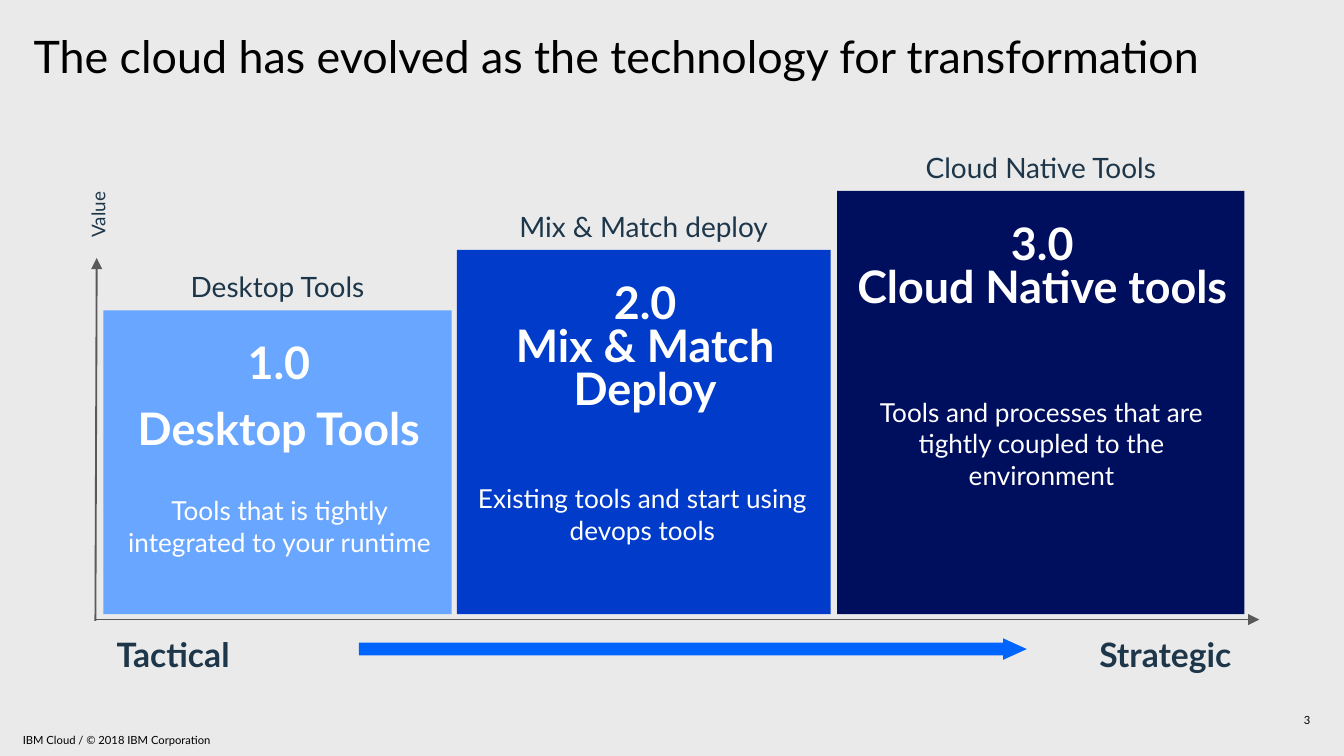
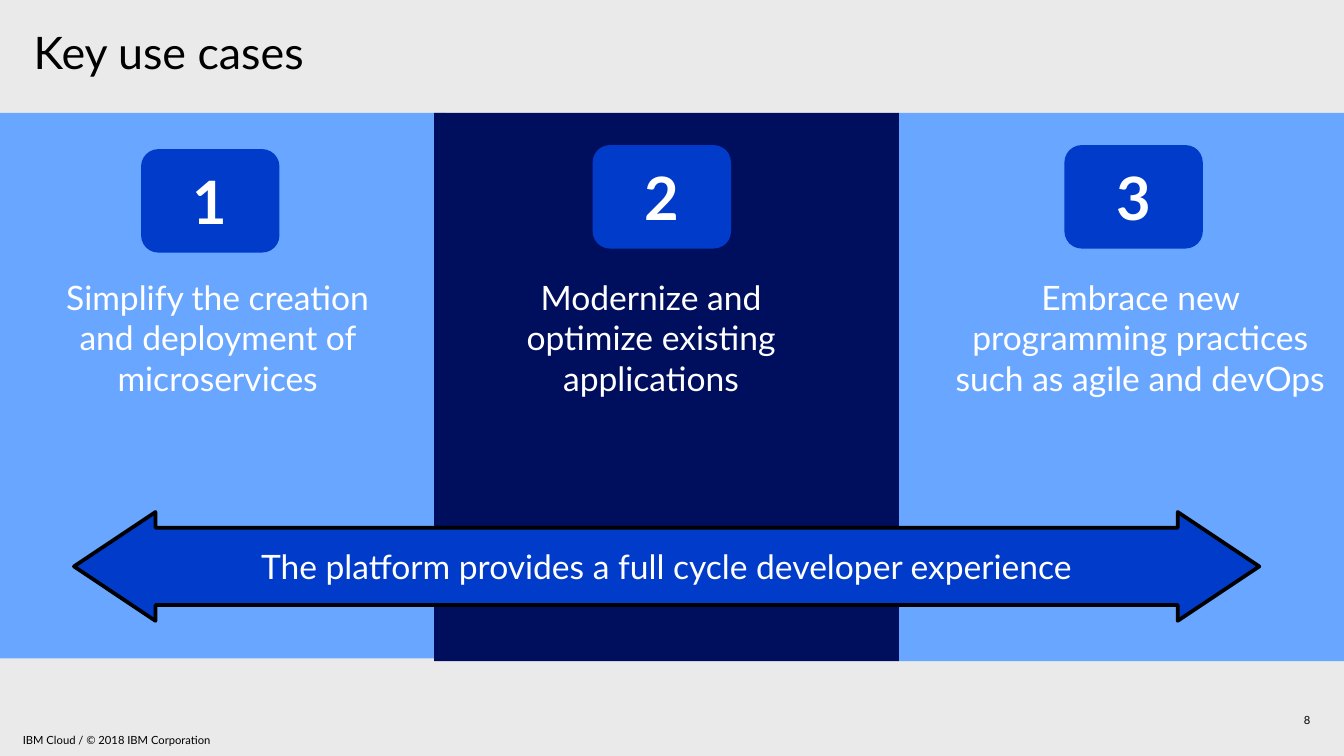
from dataclasses import dataclass

from lxml import etree
from pptx import Presentation
from pptx.dml.color import RGBColor
from pptx.enum.shapes import MSO_CONNECTOR, MSO_SHAPE
from pptx.enum.text import MSO_ANCHOR, PP_ALIGN
from pptx.oxml.ns import qn
from pptx.util import Inches, Pt

LEFT, CENTER, RIGHT = PP_ALIGN.LEFT, PP_ALIGN.CENTER, PP_ALIGN.RIGHT
TOP, MIDDLE = MSO_ANCHOR.TOP, MSO_ANCHOR.MIDDLE
RECTANGLE, ROUNDED = MSO_SHAPE.RECTANGLE, MSO_SHAPE.ROUNDED_RECTANGLE
RIGHT_ARROW, DOUBLE_ARROW = MSO_SHAPE.RIGHT_ARROW, MSO_SHAPE.LEFT_RIGHT_ARROW
STRAIGHT = MSO_CONNECTOR.STRAIGHT


@dataclass(frozen=True)
class Theme:
    font: str = "Lato"
    background: str = "EAEAEA"
    black: str = "000000"
    white: str = "FFFFFF"
    slate: str = "1D3649"
    axis: str = "595959"
    light: str = "69A6FF"
    blue: str = "003BC9"
    navy: str = "000E5E"
    bright: str = "0064FF"
    title_size: float = 24
    heading_size: float = 24
    badge_size: float = 32
    statement_size: float = 18
    label_size: float = 15
    body_size: float = 14
    axis_size: float = 10.1
    footer_size: float = 6


THEME = Theme()
NO_INSETS = (0, 0, 0, 0)
BOX_INSETS = (0.1, 0.05, 0.1, 0.05)
BODY_INSETS = (0, 0, 0, 0.05)


def text_style(size, color, bold=False):
    return {"name": THEME.font, "size": Pt(size), "bold": bold}, color


TITLE = text_style(THEME.title_size, THEME.black)
FOOTER = text_style(THEME.footer_size, THEME.black)
HEADING = text_style(THEME.heading_size, THEME.white, True)
BODY = text_style(THEME.body_size, THEME.white)
LABEL = text_style(THEME.label_size, THEME.slate)
AXIS_NAME = text_style(THEME.axis_size, THEME.slate)
AXIS_END = text_style(THEME.statement_size, THEME.slate, True)
STATEMENT = text_style(THEME.statement_size, THEME.white)
BADGE = text_style(THEME.badge_size, THEME.white, True)


def rgb(value):
    return RGBColor.from_string(value)


def inches(values):
    return [Inches(value) for value in values]


def write_text(shape, paragraphs, style, align=LEFT, anchor=TOP,
               insets=BOX_INSETS, spacing=None, after=0):
    frame = shape.text_frame
    frame.word_wrap = True
    frame.vertical_anchor = anchor
    for side, inset in zip(("left", "top", "right", "bottom"), inches(insets)):
        setattr(frame, f"margin_{side}", inset)
    font_values, color = style
    for index, text in enumerate(paragraphs):
        paragraph = frame.add_paragraph() if index else frame.paragraphs[0]
        paragraph.text = text
        layout = {"alignment": align, "line_spacing": spacing, "space_after": Pt(after)}
        for name, value in layout.items():
            setattr(paragraph, name, value)
        for run in paragraph.runs:
            for name, value in font_values.items():
                setattr(run.font, name, value)
            run.font.color.rgb = rgb(color)


def add_text(slide, box, paragraphs, style, **layout):
    shape = slide.shapes.add_textbox(*inches(box))
    write_text(shape, paragraphs, style, **layout)
    return shape


def add_block(slide, kind, box, fill, adjustments=()):
    shape = slide.shapes.add_shape(kind, *inches(box))
    shape.shadow.inherit = False
    shape.fill.solid()
    shape.fill.fore_color.rgb = rgb(fill)
    shape.line.fill.background()
    for index, value in enumerate(adjustments):
        shape.adjustments[index] = value
    return shape


def add_axis(slide, start, end):
    connector = slide.shapes.add_connector(STRAIGHT, *inches(start + end))
    connector.line.color.rgb = rgb(THEME.axis)
    connector.line.width = Pt(1)
    properties = connector.element.spPr
    tail = etree.SubElement(properties.find(qn("a:ln")), qn("a:tailEnd"))
    tail.set("type", "triangle")
    etree.SubElement(properties, qn("a:effectLst"))


def add_slide(presentation, number, title, title_box):
    """Start a slide with the shared background, title and footer."""
    slide = presentation.slides.add_slide(presentation.slide_layouts[6])
    slide.background.fill.solid()
    slide.background.fill.fore_color.rgb = rgb(THEME.background)
    add_text(slide, title_box, [title], TITLE, insets=NO_INSETS, spacing=0.9)
    add_text(slide, (7.5, 5.28, 2.25, 0.15), [number], FOOTER,
             align=RIGHT, anchor=MIDDLE, insets=NO_INSETS)
    add_text(slide, (0.17, 5.45, 5.25, 0.11), ["IBM Cloud / © 2018 IBM Corporation"],
             FOOTER, anchor=MIDDLE, insets=NO_INSETS)
    return slide


def add_stage(slide, left, top, width, fill, label, heading, after, body, body_box):
    """Draw one step: a block with a label above, a heading and a body."""
    bottom = 4.57
    add_block(slide, RECTANGLE, (left, top, width, bottom - top), fill)
    add_text(slide, (left, top - 0.35, width, 0.35), [label], LABEL, align=CENTER)
    add_text(slide, (left + 0.01, top + 0.21, width, 1.16), heading, HEADING,
             align=CENTER, spacing=0.8, after=after)
    add_text(slide, body_box, [body], BODY, align=CENTER, insets=BODY_INSETS)


def build_evolution(presentation):
    slide = add_slide(presentation, "3",
                      "The cloud has evolved as the technology for transformation",
                      (0.25, 0.26, 9.25, 0.84))

    # Stages
    stages = [
        (0.77, 2.31, 2.59, THEME.light, "Desktop Tools", ["1.0", "Desktop Tools"], 12,
         "Tools that is tightly integrated to your runtime", (0.83, 3.68, 2.5, 0.52)),
        (3.4, 1.86, 2.78, THEME.blue, "Mix & Match deploy", ["2.0", "Mix & Match Deploy"], 0,
         "Existing tools and start using devops tools", (3.39, 3.59, 2.78, 0.52)),
        (6.23, 1.42, 3.03, THEME.navy, "Cloud Native Tools", ["3.0\vCloud Native tools"], 0,
         "Tools and processes that are tightly coupled to the environment",
         (6.36, 2.95, 2.78, 0.76)),
    ]
    for stage in stages:
        add_stage(slide, *stage)

    # Axes
    add_axis(slide, (0.71, 4.62), (0.72, 1.92))
    add_axis(slide, (0.71, 4.61), (9.37, 4.61))
    axis_name = add_text(slide, (0.35, 1.35, 0.76, 0.27), ["Value"], AXIS_NAME)
    axis_name.rotation = 270

    # Direction from tactical to strategic
    add_text(slide, (0.77, 4.67, 2.59, 0.4), ["Tactical"], AXIS_END)
    add_text(slide, (6.24, 4.67, 3.02, 0.4), ["Strategic"], AXIS_END, align=RIGHT)
    add_block(slide, RIGHT_ARROW, (2.67, 4.75, 4.97, 0.16), THEME.bright, (0.6, 1.1))


def build_use_cases(presentation):
    slide = add_slide(presentation, "8", "Key use cases", (0.25, 0.23, 7, 0.7))

    # Columns: left, width, height, fill, badge position, text left and width
    columns = [
        (0, 3.32, 4.06, THEME.light, (1.05, 1.11), (0.45, 2.34),
         "Simplify the creation and deployment of microservices"),
        (3.23, 3.46, 4.08, THEME.navy, (4.41, 1.08), (3.58, 2.53),
         "Modernize and optimize existing applications"),
        (6.69, 3.31, 4.08, THEME.light, (7.92, 1.08), (7.1, 2.77),
         "Embrace new programming practices such as agile and devOps"),
    ]
    for number, column in enumerate(columns, 1):
        left, width, height, fill, badge_position, (text_left, text_width), text = column
        add_block(slide, RECTANGLE, (left, 0.84, width, height), fill)
        badge = add_block(slide, ROUNDED, (*badge_position, 1.03, 0.77), THEME.blue)
        write_text(badge, [str(number)], BADGE, align=CENTER, anchor=MIDDLE, insets=NO_INSETS)
        add_text(slide, (text_left, 2.06, text_width, 1.07), [text], STATEMENT,
                 align=CENTER, insets=NO_INSETS)

    # Arrow across all columns
    arrow = add_block(slide, DOUBLE_ARROW, (0.55, 3.81, 8.82, 0.81), THEME.blue, (0.71, 0.75))
    arrow.line.color.rgb = rgb(THEME.black)
    arrow.line.width = Pt(2)
    write_text(arrow, ["The platform provides a full cycle developer experience"], STATEMENT,
               align=CENTER, anchor=MIDDLE, insets=(0.06,) * 4)


def main():
    presentation = Presentation()
    # Widescreen page, 16 to 9
    presentation.slide_width = Inches(10)
    presentation.slide_height = Inches(10) * 9 // 16
    build_evolution(presentation)
    build_use_cases(presentation)
    presentation.save("out.pptx")


if __name__ == "__main__":
    main()
